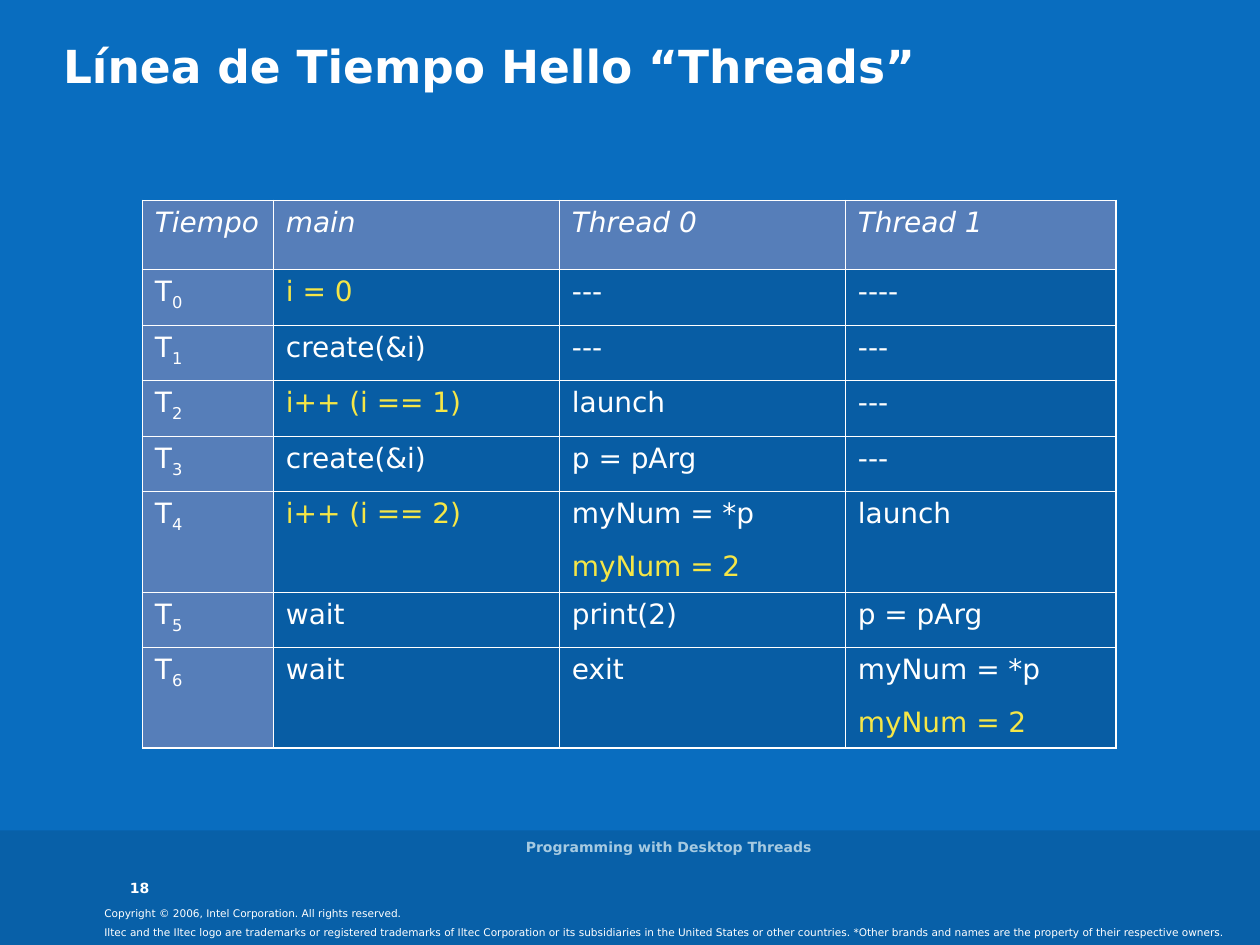
from lxml.etree import SubElement
from pptx import Presentation
from pptx.dml.color import RGBColor
from pptx.enum.shapes import MSO_SHAPE
from pptx.enum.text import MSO_ANCHOR, PP_ALIGN
from pptx.oxml.ns import qn
from pptx.util import Inches, Pt

THEME = {
    "font": "DejaVu Sans",
    "background": "096DBF",
    "band": "0860A8",
    "label": "567EB9",
    "body": "085DA4",
    "white": "FFFFFF",
    "footer": "A6CAE1",
    "value": "F5E647",
    "title_size": Pt(26),
    "table_size": Pt(16),
    "footer_size": Pt(8),
    "legal_size": Pt(6),
    "outer_line": Pt(1.08),
    "inner_line": Pt(0.45),
}


def add_span(para, text, color, **formats):
    span = para.add_run()
    span.text = text
    span.font.color.rgb = RGBColor.from_string(THEME[color])
    for name, value in {"name": THEME["font"], **formats}.items():
        setattr(span.font, name, value)
    return span


def add_border(cell, side, width):
    line = SubElement(cell._tc.get_or_add_tcPr(), qn(f"a:ln{side}"), w=str(width))
    fill = SubElement(line, qn("a:solidFill"))
    SubElement(fill, qn("a:srgbClr"), val=THEME["white"])


deck = Presentation()
deck.slide_width, deck.slide_height = Inches(10), Inches(7.5)
page = deck.slides.add_slide(deck.slide_layouts[6])
page.background.fill.solid()
page.background.fill.fore_color.rgb = RGBColor.from_string(THEME["background"])

band = page.shapes.add_shape(
    MSO_SHAPE.RECTANGLE, Inches(0), Inches(6.59), Inches(10), Inches(0.91)
)
band.shadow.inherit = False
band.fill.solid()
band.fill.fore_color.rgb = RGBColor.from_string(THEME["band"])
band.line.fill.background()

legal_font = {"size": THEME["legal_size"]}
footer_font = {"size": THEME["footer_size"], "bold": True}
title_font = {"size": THEME["title_size"], "bold": True}
padded = {"margin_left": Inches(0.1), "margin_right": Inches(0.1),
          "margin_top": Inches(0.05), "margin_bottom": Inches(0.05)}
flush = {name: 0 for name in padded}
top, middle, bottom = MSO_ANCHOR.TOP, MSO_ANCHOR.MIDDLE, MSO_ANCHOR.BOTTOM
left, center = PP_ALIGN.LEFT, PP_ALIGN.CENTER

texts = [
    ("Copyright © 2006, Intel Corporation. All rights reserved.",
     (0.73, 7.16, 7.21, 0.2), "white", legal_font, padded, top, left, 0.95),
    ("Iltec and the Iltec logo are trademarks or registered trademarks of Iltec "
     "Corporation or its subsidiaries in the United States or other countries. "
     "*Other brands and names are the property of their respective owners.",
     (0.73, 7.3, 9.27, 0.2), "white", legal_font, padded, top, left, 1.0),
    ("18", (1.03, 6.78, 0.45, 0.33), "white", footer_font, flush, bottom, left, 1.0),
    ("Programming with Desktop Threads",
     (3.31, 6.56, 4, 0.33), "footer", footer_font, flush, middle, center, 1.0),
    ("Línea de Tiempo Hello “Threads”",
     (0.5, 0.3, 8.52, 0.96), "white", title_font, flush, top, left, 1.0),
]
for text, place, color, font, margins, anchor, alignment, spacing in texts:
    box = page.shapes.add_textbox(*map(Inches, place))
    frame_formats = {"word_wrap": True, "vertical_anchor": anchor, **margins}
    for name, value in frame_formats.items():
        setattr(box.text_frame, name, value)
    para = box.text_frame.paragraphs[0]
    para.alignment = alignment
    para.line_spacing = spacing
    add_span(para, text, color, **font)

timeline = [
    ("Tiempo", "main", "Thread 0", "Thread 1"),
    ("T0", "i = 0", "---", "----"),
    ("T1", "create(&i)", "---", "---"),
    ("T2", "i++ (i == 1)", "launch", "---"),
    ("T3", "create(&i)", "p = pArg", "---"),
    ("T4", "i++ (i == 2)", "myNum = *p\nmyNum = 2", "launch"),
    ("T5", "wait", "print(2)", "p = pArg"),
    ("T6", "wait", "exit", "myNum = *p\nmyNum = 2"),
]
value_lines = {"i = 0", "i++ (i == 1)", "i++ (i == 2)", "myNum = 2"}
column_widths = [1.04, 2.27, 2.27, 2.15]
row_heights = [0.55, 0.44, 0.44, 0.44, 0.44, 0.8, 0.44, 0.8]
last_row, last_column = len(row_heights) - 1, len(column_widths) - 1

table = page.shapes.add_table(
    len(row_heights), len(column_widths), Inches(1.13), Inches(1.59),
    Inches(sum(column_widths)), Inches(sum(row_heights)),
).table
table.first_row = table.horz_banding = False
for column, width in zip(table.columns, column_widths):
    column.width = Inches(width)
for row, height in zip(table.rows, row_heights):
    row.height = Inches(height)

for r, entries in enumerate(timeline):
    for c, entry in enumerate(entries):
        cell = table.cell(r, c)
        for name, value in padded.items():
            setattr(cell, name, value)
        edges = {"L": c == 0, "R": c == last_column, "T": r == 0, "B": r == last_row}
        for side, outer in edges.items():
            add_border(cell, side, THEME["outer_line" if outer else "inner_line"])
        cell.fill.solid()
        fill_name = "label" if r == 0 or c == 0 else "body"
        cell.fill.fore_color.rgb = RGBColor.from_string(THEME[fill_name])

        for index, text in enumerate(entry.split("\n")):
            if index == 0:
                para = cell.text_frame.paragraphs[0]
            else:
                para = cell.text_frame.add_paragraph()
                para.space_before = Pt(12)
            color = "value" if text in value_lines else "white"
            font = {"size": THEME["table_size"], "italic": r == 0}
            if c == 0 and r > 0:
                add_span(para, text[0], color, **font)
                subscript = add_span(para, text[1:], color, **font)
                subscript.font._element.set("baseline", "-25000")
            else:
                add_span(para, text, color, **font)

deck.save("out.pptx")
